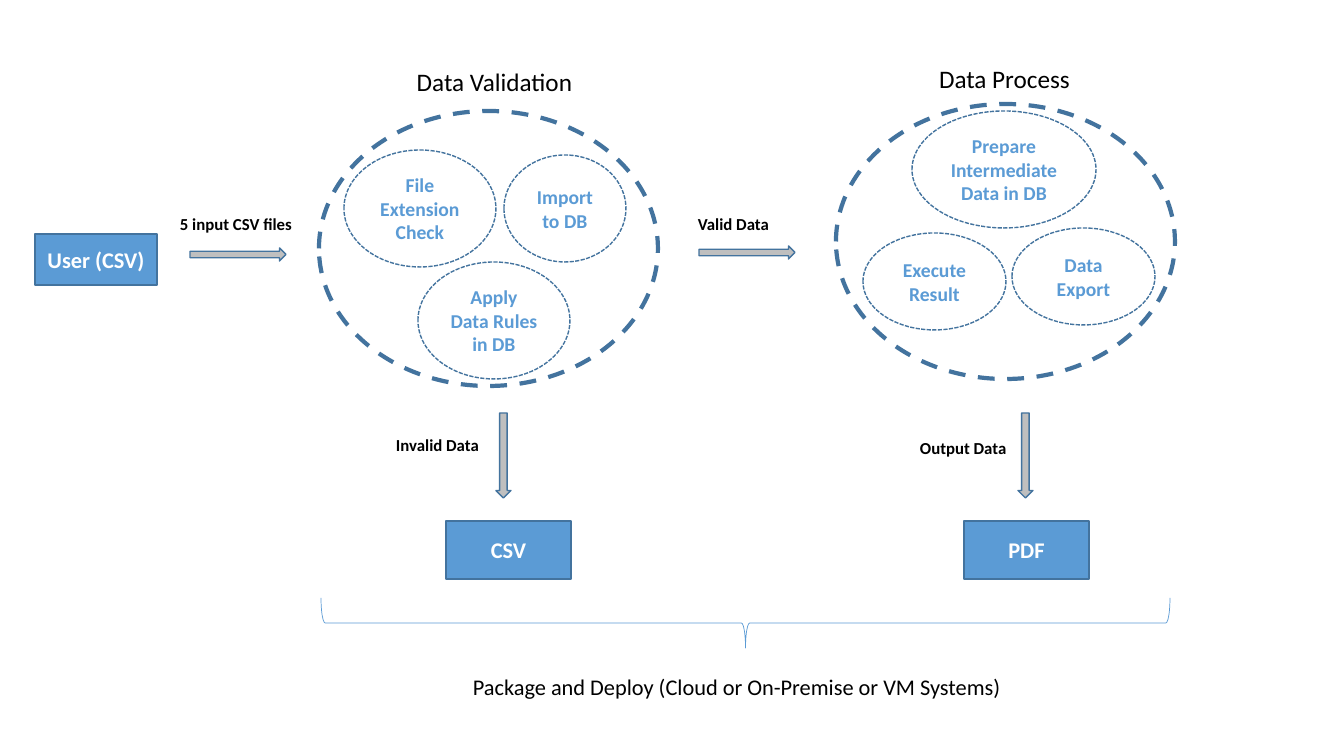
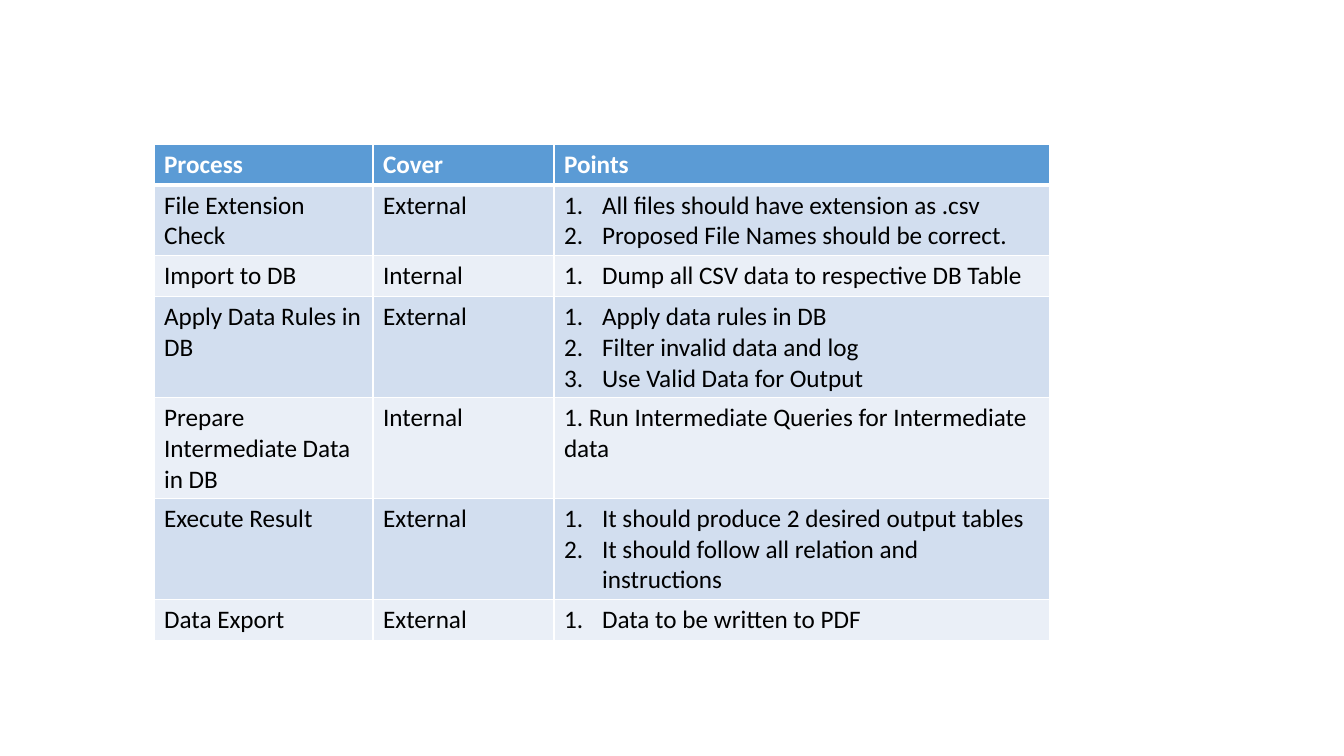
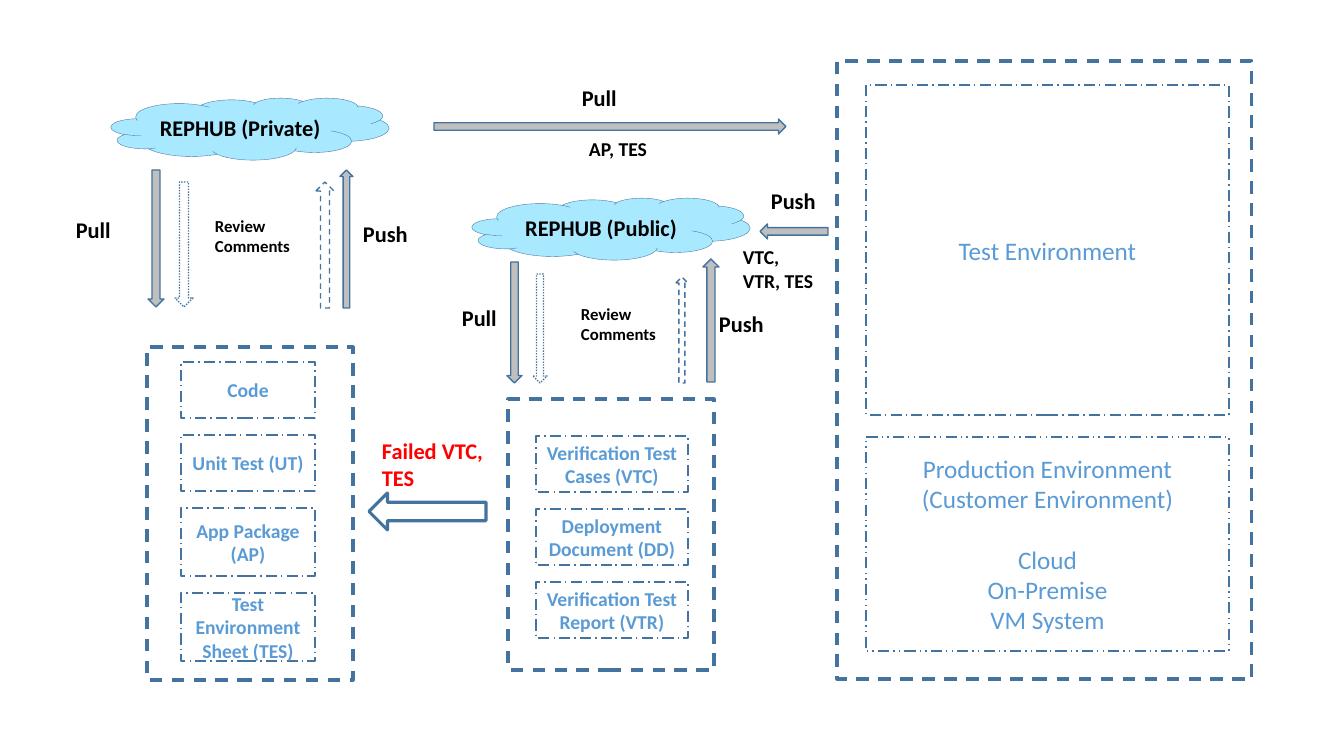
"""Builds three slides: the data flow, the process table and the release flow."""
from lxml import etree
from pptx import Presentation
from pptx.dml.color import RGBColor
from pptx.enum.dml import MSO_LINE
from pptx.enum.shapes import MSO_SHAPE
from pptx.enum.text import MSO_ANCHOR, PP_ALIGN
from pptx.oxml.ns import qn
from pptx.util import Pt

PX = 914400 / 100.8
FONT = "Calibri"
BLUE, EDGE, GRAY, CLOUD_FILL = "5B9BD5", "43739E", "BFBFBF", "A9E9FF"
WHITE, BLACK, RED = "FFFFFF", "000000", "FF0000"
BANDS = ("D2DEEF", "EAEFF7")

RECT, ELLIPSE, CLOUD = MSO_SHAPE.RECTANGLE, MSO_SHAPE.OVAL, MSO_SHAPE.CLOUD
RIGHT, LEFT = MSO_SHAPE.RIGHT_ARROW, MSO_SHAPE.LEFT_ARROW
UP, DOWN = MSO_SHAPE.UP_ARROW, MSO_SHAPE.DOWN_ARROW
BRACE = MSO_SHAPE.RIGHT_BRACE
DASH, SHORT_DASH, DOT = MSO_LINE.DASH, MSO_LINE.SQUARE_DOT, MSO_LINE.ROUND_DOT
DASH_DOT, DASH_DOT_DOT = MSO_LINE.LONG_DASH_DOT, MSO_LINE.DASH_DOT_DOT
CENTER, START = PP_ALIGN.CENTER, PP_ALIGN.LEFT
MIDDLE = MSO_ANCHOR.MIDDLE


def px(length):
    """Turns pixels into EMU."""
    return round(length * PX)


def color(hex_text):
    """Turns a hex string into a colour."""
    return RGBColor.from_string(hex_text)


def within(box, part):
    """Moves a part's box from the origin of its region to the slide."""
    return (box[0] + part[0], box[1] + part[1], *part[2:])


def number(paragraph):
    """Makes a paragraph an item of a numbered list."""
    properties = paragraph._p.get_or_add_pPr()
    properties.set("marL", str(px(38)))
    properties.set("indent", str(-px(38)))
    etree.SubElement(properties, qn("a:buAutoNum"), type="arabicPeriod")


def write(frame, text, size=14, ink=BLACK, bold=False, align=START,
          numbered=False, gap_at=None):
    """Fills a text frame, one paragraph a line; gap_at is a line set apart."""
    frame.word_wrap = True
    for index, line in enumerate(text.split("\n")):
        paragraph = frame.add_paragraph() if index else frame.paragraphs[0]
        paragraph.alignment = align
        if index == gap_at:
            paragraph.space_before = Pt(size * 1.2)
        if numbered:
            number(paragraph)
        run = paragraph.add_run()
        run.text = line
        run.font.name, run.font.size, run.font.bold = FONT, Pt(size), bold
        run.font.color.rgb = color(ink)


def label(slide, box, text, **style):
    """Adds a text box, bold unless told otherwise."""
    text_box = slide.shapes.add_textbox(*map(px, box))
    write(text_box.text_frame, text, **{"bold": True, **style})


def draw(slide, kind, box, text="", fill=None, edge=EDGE, weight=1, dash=None,
         **style):
    """Adds a preset shape with an outline and centred text."""
    shape = slide.shapes.add_shape(kind, *map(px, box))
    shape.shadow.inherit = False
    if fill:
        shape.fill.solid()
        shape.fill.fore_color.rgb = color(fill)
    else:
        shape.fill.background()
    shape.line.color.rgb = color(edge)
    shape.line.width = Pt(weight)
    if dash is not None:
        shape.line.dash_style = dash
    if text:
        shape.text_frame.vertical_anchor = MIDDLE
        write(shape.text_frame, text,
              **{"ink": BLUE, "bold": True, "align": CENTER, **style})
    return shape


def arrow(slide, kind, box):
    """Adds a gray block arrow."""
    draw(slide, kind, box, fill=GRAY)


def file_box(slide, box, text):
    """Adds a solid box for a file at either end of the flow."""
    draw(slide, RECT, box, text, fill=BLUE, size=16, ink=WHITE)


def stage(slide, box, title, title_at, steps):
    """Draws a dashed ellipse with its title and the steps inside."""
    draw(slide, ELLIPSE, box, weight=3, dash=DASH)
    label(slide, within(box, (*title_at, 239, 40)), title, size=18, bold=False,
          align=CENTER)
    for text, step in steps:
        draw(slide, ELLIPSE, within(box, step), text, dash=SHORT_DASH)


def output(slide, box, data, data_top, arrow_left, file_name, file_left):
    """Draws the way down from a stage to the file it yields."""
    arrow(slide, DOWN, within(box, (arrow_left, 0, 15, 85)))
    label(slide, within(box, (0, data_top, 108, 30)), data, size=12)
    file_box(slide, within(box, (file_left, 108, 125, 58)), file_name)


def deployment(slide, box, text):
    """Draws the brace under the stages, filling the box, and its caption."""
    left, top, width, height = box
    middle_x, middle_y = left + width / 2, top + height / 2
    upright = (middle_x - height / 2, middle_y - width / 2, height, width)
    draw(slide, BRACE, upright, edge=BLUE, weight=0.5).rotation = 90
    label(slide, within(box, (142, 70, 730, 37)), text, size=16, bold=False)


def data_flow(slide):
    """Builds the slide from the user's files to the outputs."""
    file_box(slide, (35, 234, 122, 51), "User (CSV)")
    arrow(slide, RIGHT, (190, 248, 96, 13))
    label(slide, (170, 209, 140, 30), "5 input CSV files", size=12)
    stage(slide, (319, 111, 339, 275), "Data Validation", (56, -50), [
        ("Import to DB", (185, 44, 122, 107)),
        ("Apply Data Rules in DB", (99, 151, 152, 117)),
        ("File Extension Check", (25, 39, 152, 117))])
    output(slide, (386, 413), "Invalid Data", 17, 110, "CSV", 60)
    arrow(slide, RIGHT, (699, 246, 96, 13))
    label(slide, (688, 209, 101, 30), "Valid Data", size=12)
    stage(slide, (836, 104, 339, 275), "Data Process", (49, -46), [
        ("Prepare Intermediate Data in DB", (76, 7, 184, 117)),
        ("Execute Result", (27, 129, 143, 97)),
        ("Data Export", (176, 124, 143, 97))])
    output(slide, (910, 413), "Output Data", 20, 108, "PDF", 54)
    deployment(slide, (321, 598, 849, 50),
               "Package and Deploy (Cloud or On-Premise or VM Systems)")


def border(cell, bottom_weight):
    """Gives a cell white borders."""
    weights = {"L": 1, "R": 1, "T": 1, "B": bottom_weight}
    for side, weight in weights.items():
        line = etree.SubElement(cell._tc.get_or_add_tcPr(), qn("a:ln" + side),
                                w=str(Pt(weight)))
        fill = etree.SubElement(line, qn("a:solidFill"))
        etree.SubElement(fill, qn("a:srgbClr"), val=WHITE)


def process_table(slide, box):
    """Builds the table of processes and their points."""
    rows = [
        ("Process", "Cover", "Points"),
        ("File Extension Check", "External",
         "All files should have extension as .csv\n"
         "Proposed File Names should be correct."),
        ("Import to DB", "Internal",
         "Dump all CSV data to respective DB Table"),
        ("Apply Data Rules in DB", "External",
         "Apply data rules in DB\nFilter invalid data and log\n"
         "Use Valid Data for Output"),
        ("Prepare Intermediate Data in DB", "Internal",
         "1. Run Intermediate Queries for Intermediate data"),
        ("Execute Result", "External",
         "It should produce 2 desired output tables\n"
         "It should follow all relation and instructions"),
        ("Data Export", "External", "Data to be written to PDF")]
    frame = slide.shapes.add_table(len(rows), 3, *map(px, box))
    table = frame.table
    for column, width in zip(table.columns, (219, 181, 496)):
        column.width = px(width)
    for r, texts in enumerate(rows):
        table.rows[r].height = px(41)
        header = r == 0
        for c, text in enumerate(texts):
            cell = table.cell(r, c)
            border(cell, 3 if header else 1)
            cell.fill.solid()
            cell.fill.fore_color.rgb = color(BLUE if header else BANDS[(r - 1) % 2])
            listed = c == 2 and not header and not text.startswith("1.")
            write(cell.text_frame, text, size=18, bold=header,
                  ink=WHITE if header else BLACK, numbered=listed)
    frame.height = px(box[3])


def repository(slide, box, name, pull, review_down, review_up, push,
               pull_at, review_at, push_at):
    """Draws a cloud and, placed from its corner, the traffic below it."""
    draw(slide, CLOUD, box, name, fill=CLOUD_FILL, weight=0.25, size=16,
         ink=BLACK)
    arrow(slide, DOWN, within(box, pull))
    draw(slide, DOWN, within(box, review_down), dash=DOT)
    draw(slide, UP, within(box, review_up), dash=DASH)
    arrow(slide, UP, within(box, push))
    label(slide, within(box, (*pull_at, 62, 37)), "Pull", size=16)
    label(slide, within(box, (*review_at, 98, 50)), "Review Comments", size=12)
    label(slide, within(box, (*push_at, 78, 37)), "Push", size=16)


def artifacts(slide, box, items, inset, top, width, gap=17):
    """Draws a dashed frame with items stacked at an equal gap."""
    draw(slide, RECT, box, weight=2.25, dash=DASH)
    for text, height in items:
        draw(slide, RECT, within(box, (inset, top, width, height)), text,
             dash=DASH_DOT)
        top += height + gap


def environments(slide, box):
    """Draws the frame with the test and production environments."""
    plain = {"size": 18, "bold": False}
    draw(slide, RECT, box, weight=2.25, dash=DASH)
    draw(slide, RECT, within(box, (29, 24, 363, 330)), "Test Environment",
         dash=DASH_DOT, **plain)
    draw(slide, RECT, within(box, (29, 376, 363, 214)),
         "Production Environment\n(Customer Environment)\n"
         "Cloud\nOn-Premise\nVM System", dash=DASH_DOT_DOT, gap_at=2, **plain)


def release_flow(slide):
    """Builds the slide of repositories, artifacts and environments."""
    environments(slide, (837, 61, 415, 618))
    artifacts(slide, (147, 347, 206, 333), [
        ("Code", 56), ("Unit Test (UT)", 56), ("App Package (AP)", 68),
        ("Test Environment Sheet (TES)", 68)], inset=34, top=15, width=134)
    artifacts(slide, (508, 399, 206, 271), [
        ("Verification Test Cases (VTC)", 56), ("Deployment Document (DD)", 56),
        ("Verification Test Report (VTR)", 56)], inset=28, top=37, width=152)
    repository(slide, (111, 98, 278, 62), "REPHUB (Private)",
               pull=(37, 72, 16, 137), review_down=(64, 84, 18, 125),
               review_up=(205, 84, 18, 126), push=(229, 72, 13, 138),
               pull_at=(-45, 113), review_at=(94, 113), push_at=(242, 117))
    repository(slide, (472, 198, 278, 62), "REPHUB (Public)",
               pull=(35, 64, 15, 121), review_down=(61, 76, 14, 109),
               review_up=(204, 79, 12, 106), push=(231, 61, 16, 123),
               pull_at=(-20, 101), review_at=(99, 101), push_at=(237, 107))
    arrow(slide, RIGHT, (434, 119, 352, 15))
    label(slide, (572, 79, 62, 37), "Pull", size=16)
    label(slide, (579, 132, 165, 34), "AP, TES")
    arrow(slide, LEFT, (760, 224, 68, 15))
    label(slide, (761, 182, 78, 37), "Push", size=16)
    label(slide, (733, 240, 98, 57), "VTC, VTR, TES")
    draw(slide, LEFT, (369, 493, 117, 37), weight=2.25)
    label(slide, (372, 432, 131, 65), "Failed VTC, TES", size=16, ink=RED)


def main():
    """Builds and saves the presentation."""
    deck = Presentation()
    deck.slide_width, deck.slide_height = px(1344), px(756)
    blank = deck.slide_layouts[6]
    data_flow(deck.slides.add_slide(blank))
    process_table(deck.slides.add_slide(blank), (154, 144, 896, 496))
    release_flow(deck.slides.add_slide(blank))
    deck.save("out.pptx")


main()
